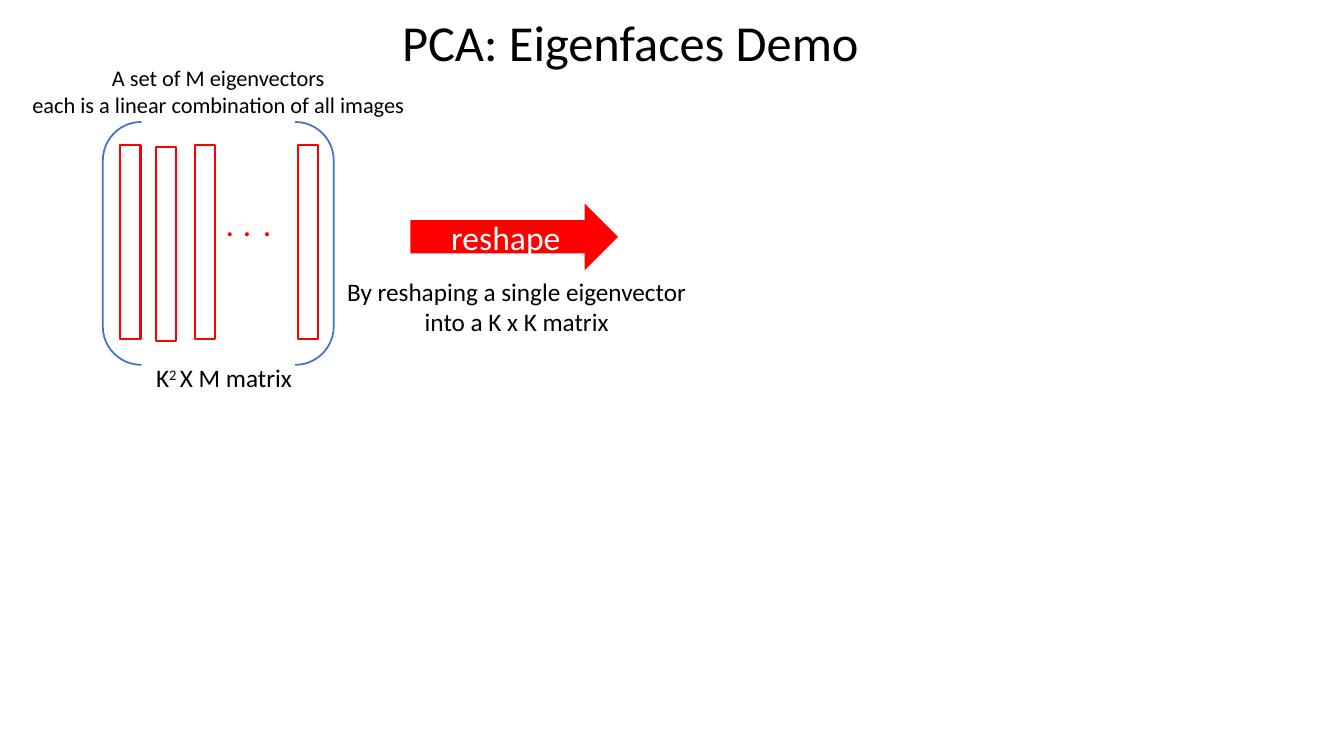
from pptx import Presentation
from pptx.dml.color import RGBColor
from pptx.enum.shapes import MSO_SHAPE
from pptx.enum.text import MSO_ANCHOR, MSO_AUTO_SIZE, PP_ALIGN
from pptx.util import Inches, Pt

BRACKETS = MSO_SHAPE.DOUBLE_BRACKET
BAR = MSO_SHAPE.RECTANGLE
ARROW = MSO_SHAPE.RIGHT_ARROW
LEFT, CENTER = PP_ALIGN.LEFT, PP_ALIGN.CENTER
MIDDLE = MSO_ANCHOR.MIDDLE
FIT_TEXT = MSO_AUTO_SIZE.SHAPE_TO_FIT_TEXT

BLACK = RGBColor(0x00, 0x00, 0x00)
WHITE = RGBColor(0xFF, 0xFF, 0xFF)
RED = RGBColor(0xFF, 0x00, 0x00)
BLUE = RGBColor(0x44, 0x72, 0xC4)

presentation = Presentation()
presentation.slide_width = Inches(13.33)
presentation.slide_height = Inches(7.5)
slide = presentation.slides.add_slide(presentation.slide_layouts[6])
COLUMN = presentation.slide_width / 100
ROW = presentation.slide_height / 100


def add_outline(preset, left, top, width, height, color, weight):
    shape = slide.shapes.add_shape(
        preset, int(left * COLUMN), int(top * ROW), int(width * COLUMN), int(height * ROW))
    shape.shadow.inherit = False
    shape.fill.background()
    shape.line.color.rgb = color
    shape.line.width = Pt(weight)
    return shape


def add_text(lines, left, top, width, height, size, color=BLACK, align=LEFT, wrap=True):
    box = slide.shapes.add_textbox(
        int(left * COLUMN), int(top * ROW), int(width * COLUMN), int(height * ROW))
    frame = box.text_frame
    frame.word_wrap = wrap
    frame.auto_size = FIT_TEXT
    frame.text = "\n".join(lines)
    for paragraph in frame.paragraphs:
        paragraph.alignment = align
        paragraph.font.name = "Calibri"
        paragraph.font.size = Pt(size)
        paragraph.font.color.rgb = color
    return box


add_outline(BRACKETS, 7.65, 16.13, 17.18, 32.13, BLUE, 1.25)

for dot_left in (18.83, 16.05, 17.33):
    add_text(["."], dot_left, 26.13, 2.78, 7.2, 24, RED)

for bar_left, bar_top in ((8.96, 19.13), (11.59, 19.4), (14.51, 19.13), (22.16, 19.13)):
    add_outline(BAR, bar_left, bar_top, 1.5, 25.73, RED, 1.5)

matrix_size = add_text(["K"], 10.88, 47.33, 13.13, 5.33, 18)
matrix_paragraph = matrix_size.text_frame.paragraphs[0]
exponent = matrix_paragraph.add_run()
exponent.text = "2 "
exponent.font._element.set("baseline", "30000")
matrix_paragraph.add_run().text = "X M matrix"

add_text(["A set of M eigenvectors", "each is a linear combination of all images"],
         1.5, 7.87, 29.48, 8.53, 16, align=CENTER, wrap=False)
add_text(["PCA: Eigenfaces Demo"], 29.18, 0.8, 35.55, 9.47, 36)

arrow = add_outline(ARROW, 30.53, 26.93, 15.45, 8.8, RED, 1)
arrow.fill.solid()
arrow.fill.fore_color.rgb = RED
arrow.line.fill.background()
arrow.text_frame.text = "reshape"
arrow.text_frame.vertical_anchor = MIDDLE
arrow_paragraph = arrow.text_frame.paragraphs[0]
arrow_paragraph.alignment = CENTER
arrow_paragraph.font.name = "Calibri"
arrow_paragraph.font.size = Pt(24)
arrow_paragraph.font.color.rgb = WHITE

add_text(["By reshaping a single eigenvector", "into a K x K matrix"],
         24.9, 35.87, 27.08, 9.47, 18, align=CENTER, wrap=False)

presentation.save("out.pptx")
